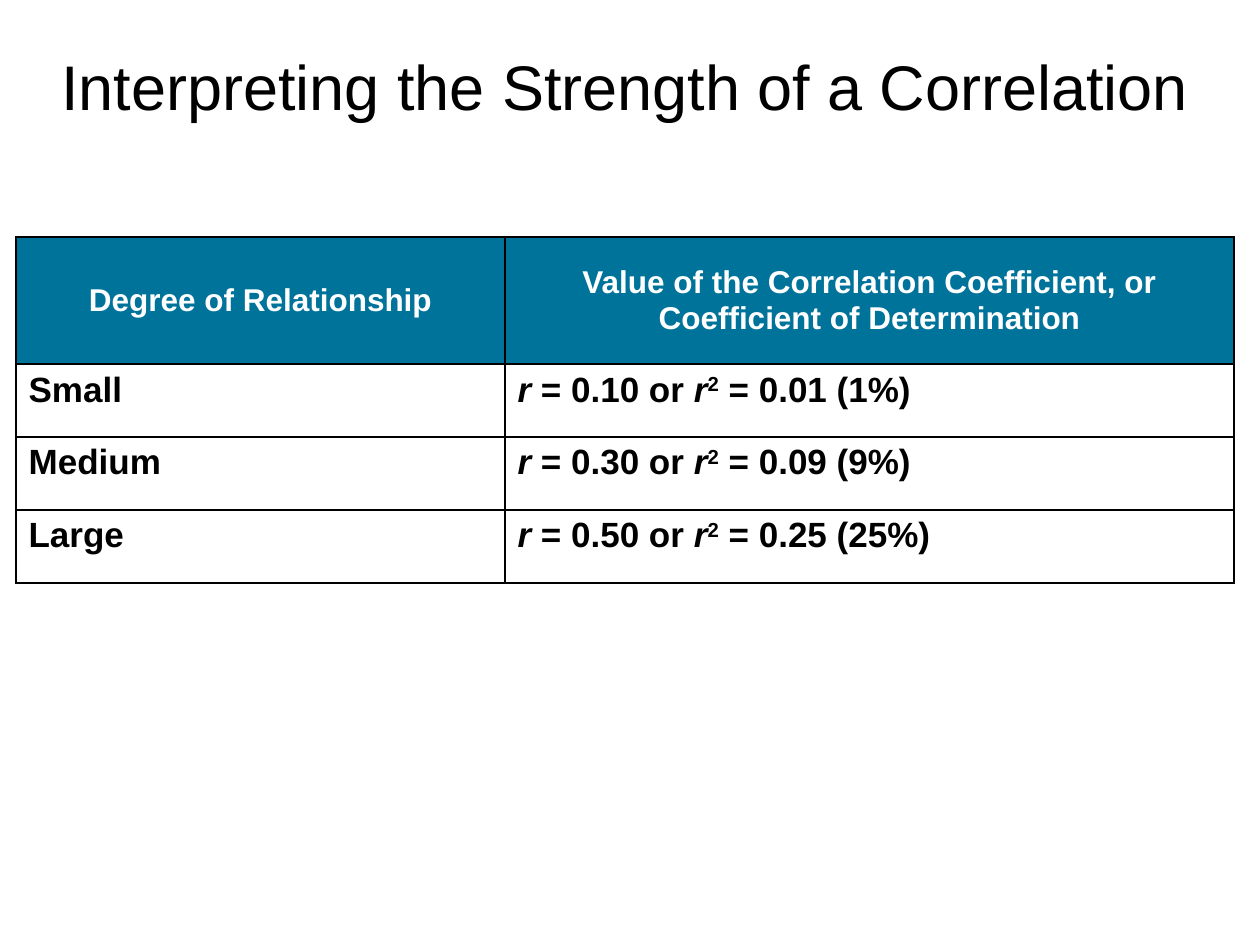
from dataclasses import dataclass

from lxml import etree
from pptx import Presentation
from pptx import util as u
from pptx.dml.color import RGBColor
from pptx.enum import text
from pptx.oxml import ns

TITLE = "Interpreting the Strength of a Correlation"
HEADS = ["Degree of Relationship",
         "Value of the Correlation Coefficient, or Coefficient of Determination"]
DEGREES = [("Small", "0.10", "0.01 (1%)"),
           ("Medium", "0.30", "0.09 (9%)"),
           ("Large", "0.50", "0.25 (25%)")]

SLIDE = (1260, 945)
TITLE_BOX = (16, 22, 1218, 126)
LEFT, TOP = 16, 237
COLS = [489, 729]
ROWS = [127] + [73] * len(DEGREES)


@dataclass(frozen=True)
class Theme:
    font: str = "Arial"
    ink: str = "000000"
    paper: str = "FFFFFF"
    head: str = "00739B"
    title_pt: int = 36
    head_pt: int = 18
    body_pt: int = 20
    line_pt: int = 1


THEME = Theme()


def px(n):
    return u.Emu(round(n * 914400 / 126))


def style(para, size, color, bold=False):
    font = para.font
    font.name, font.size, font.bold = THEME.font, u.Pt(size), bold
    font.color.rgb = RGBColor.from_string(color)


def border(cell):
    """Draw a thin line on all four sides; lines must precede the fill."""
    props = cell._tc.get_or_add_tcPr()
    for i, side in enumerate("LRTB"):
        line = etree.Element(ns.qn(f"a:ln{side}"), w=str(u.Pt(THEME.line_pt)))
        fill = etree.SubElement(line, ns.qn("a:solidFill"))
        etree.SubElement(fill, ns.qn("a:srgbClr"), val=THEME.ink)
        props.insert(i, line)


def fill_head(cell, words):
    cell.fill.solid()
    cell.fill.fore_color.rgb = RGBColor.from_string(THEME.head)
    cell.vertical_anchor = text.MSO_ANCHOR.MIDDLE
    para = cell.text_frame.paragraphs[0]
    para.text = words
    para.alignment = text.PP_ALIGN.CENTER
    style(para, THEME.head_pt, THEME.paper, True)
    border(cell)


def fill_body(cell, parts):
    """Write (words, kind) parts, where kind is "", "italic" or "super"."""
    cell.fill.background()
    para = cell.text_frame.paragraphs[0]
    for words, kind in parts:
        run = para.add_run()
        run.text = words
        if kind == "italic":
            run.font.italic = True
        elif kind == "super":
            run._r.get_or_add_rPr().set("baseline", "30000")
    style(para, THEME.body_pt, THEME.ink, True)
    border(cell)


def add_title(slide):
    frame = slide.shapes.add_textbox(*map(px, TITLE_BOX)).text_frame
    frame.word_wrap = True
    frame.vertical_anchor = text.MSO_ANCHOR.MIDDLE
    para = frame.paragraphs[0]
    para.text = TITLE
    para.alignment = text.PP_ALIGN.CENTER
    style(para, THEME.title_pt, THEME.ink)


def add_grid(slide):
    box = (LEFT, TOP, sum(COLS), sum(ROWS))
    table = slide.shapes.add_table(len(ROWS), len(COLS), *map(px, box)).table
    table.horz_banding = False
    for col, width in zip(table.columns, COLS):
        col.width = px(width)
    for row, height in zip(table.rows, ROWS):
        row.height = px(height)
    for i, words in enumerate(HEADS):
        fill_head(table.cell(0, i), words)
    for i, (degree, r, square) in enumerate(DEGREES, 1):
        fill_body(table.cell(i, 0), [(degree, "")])
        fill_body(table.cell(i, 1), [
            ("r", "italic"), (f" = {r} or ", ""),
            ("r", "italic"), ("2", "super"), (f" = {square}", "")])


def main():
    deck = Presentation()
    deck.slide_width, deck.slide_height = map(px, SLIDE)
    slide = deck.slides.add_slide(deck.slide_layouts[6])
    add_title(slide)
    add_grid(slide)
    deck.save("out.pptx")


if __name__ == "__main__":
    main()
